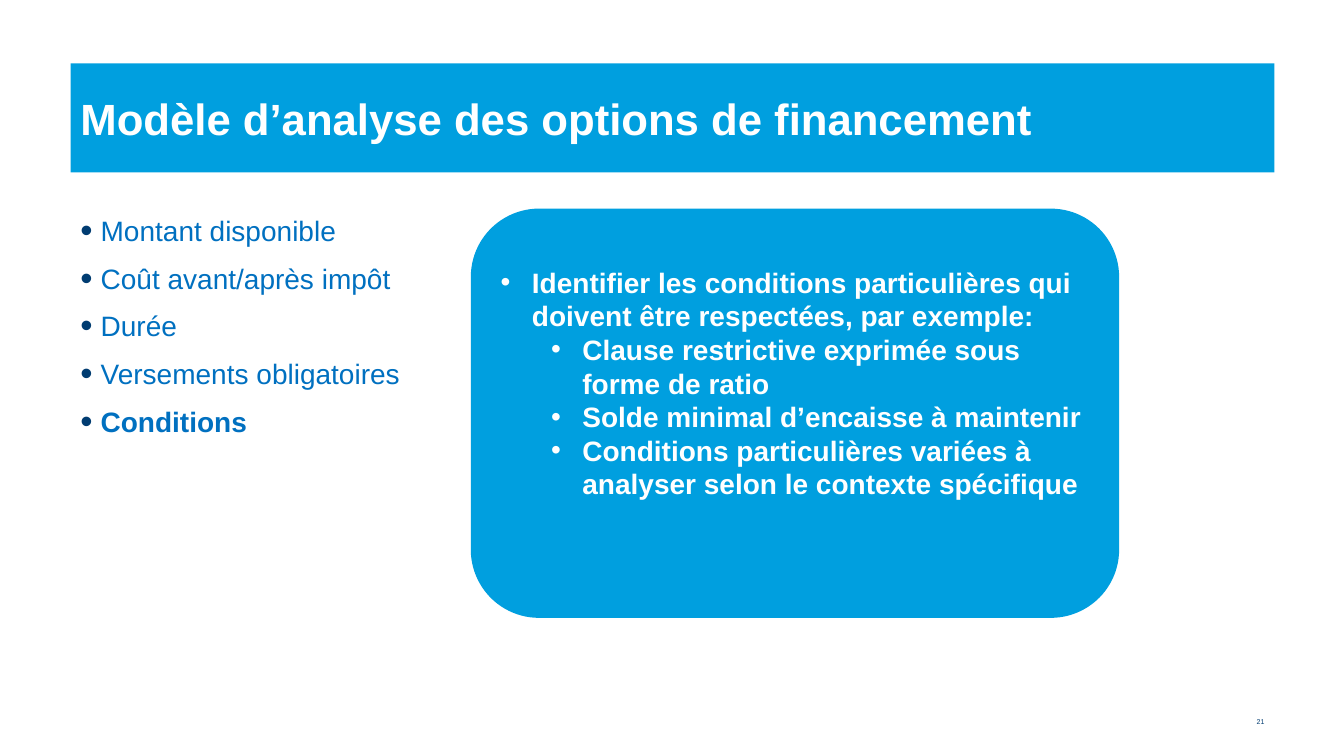
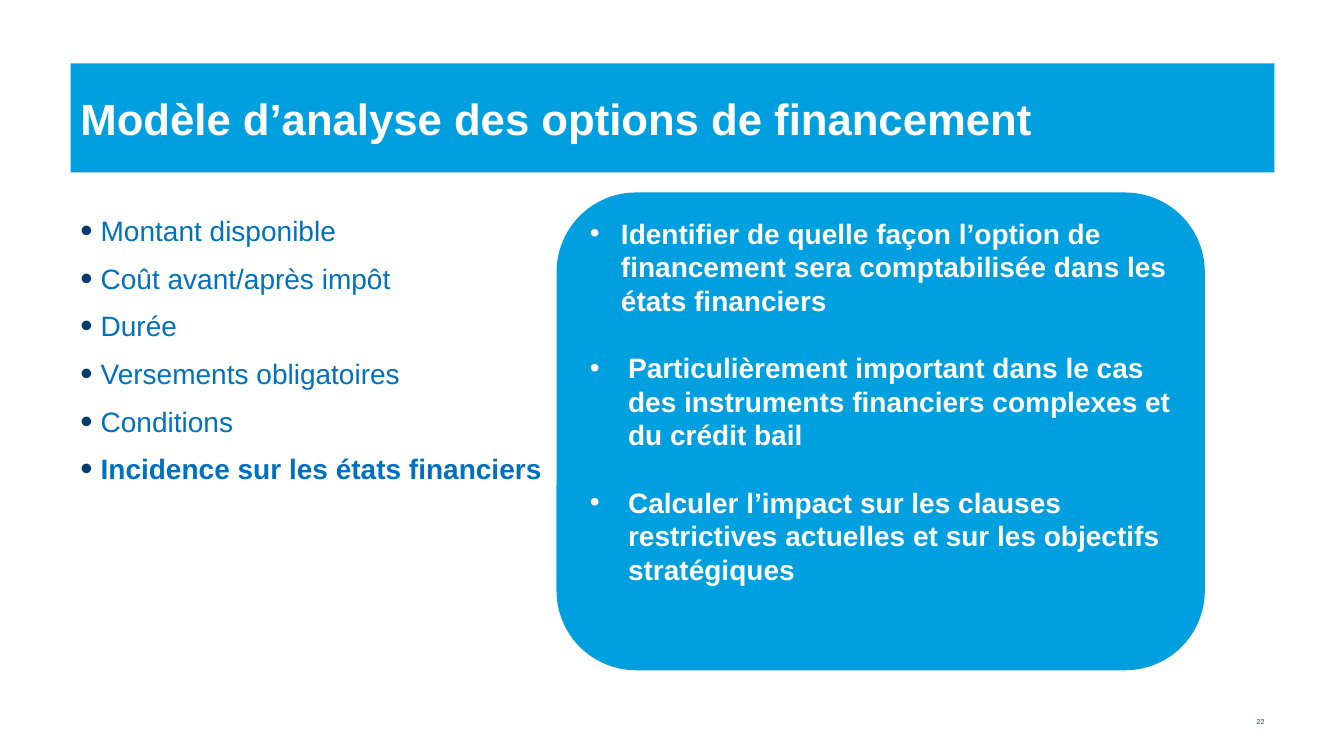
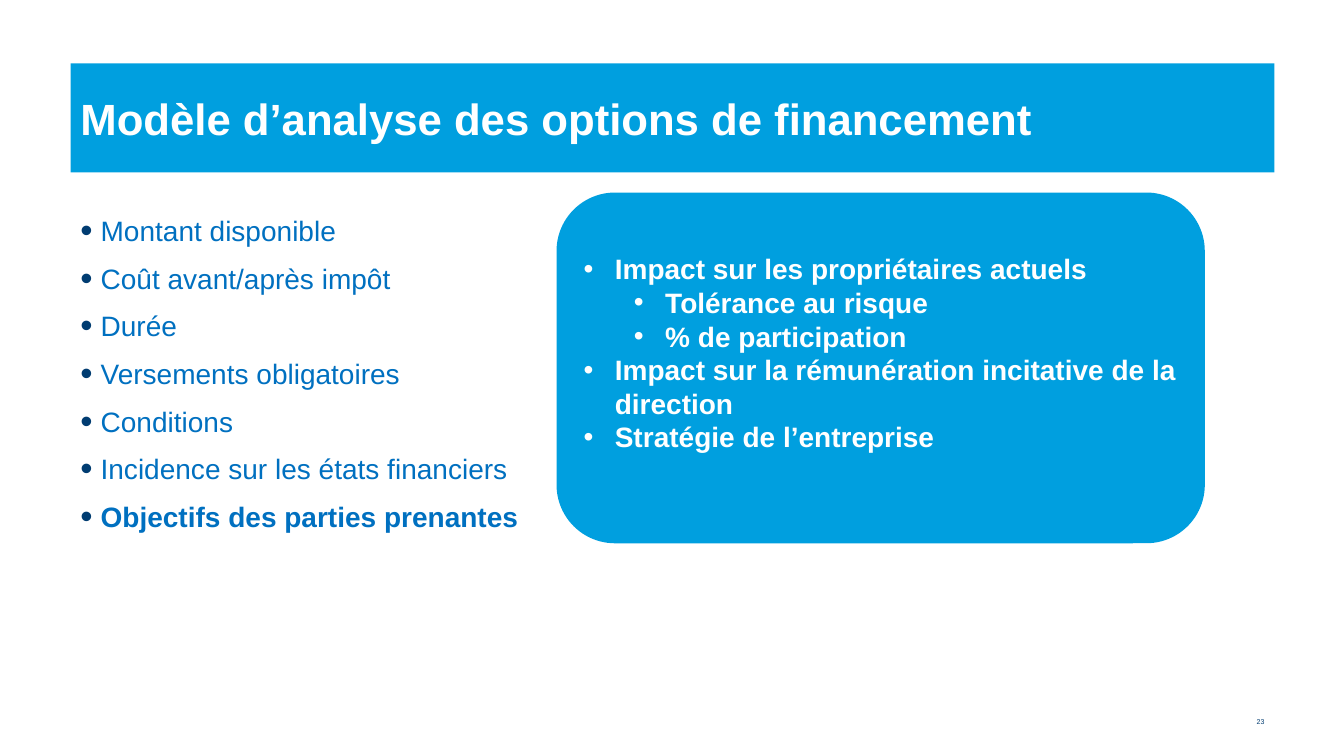
from dataclasses import dataclass

from lxml import etree
from pptx import Presentation
from pptx.dml.color import RGBColor
from pptx.enum.shapes import MSO_SHAPE
from pptx.enum.text import MSO_ANCHOR, PP_ALIGN
from pptx.oxml.ns import qn
from pptx.util import Emu, Pt

RECTANGLE = MSO_SHAPE.RECTANGLE
ROUNDED = MSO_SHAPE.ROUNDED_RECTANGLE
TOP, MIDDLE = MSO_ANCHOR.TOP, MSO_ANCHOR.MIDDLE
LEFT, RIGHT = PP_ALIGN.LEFT, PP_ALIGN.RIGHT

PX = 9144  # 100 px to the inch
FONT = "Arial"
COLORS = {"band": "009FDF", "navy": "003C71", "topic": "0070C0", "white": "FFFFFF"}
TITLE = "Modèle d’analyse des options de financement"
TOPICS = [
    "Montant disponible",
    "Coût avant/après impôt",
    "Durée",
    "Versements obligatoires",
    "Conditions",
    "Incidence sur les états financiers",
    "Objectifs des parties prenantes",
]
LINE_HEIGHT = 24  # points, for all 20-point text
FIRST_PAGE = 21


@dataclass(frozen=True)
class Area:
    left: int
    top: int
    width: int
    height: int


@dataclass(frozen=True)
class Style:
    size: float
    color: str
    bold: bool = False
    align: PP_ALIGN = LEFT


@dataclass(frozen=True)
class Bullet:
    margin: int
    hanging: int
    color: str = ""
    percent: int = 100


@dataclass(frozen=True)
class Point:
    text: str
    bullet: Bullet
    gap: int = 0  # points before the paragraph


@dataclass(frozen=True)
class Page:
    topic_count: int
    panel: Area
    bottom_inset: int
    points: list[Point]


TITLE_AREA = Area(70, 63, 1194, 108)
TOPIC_AREA = Area(70, 207, 1194, 418)
NUMBER_AREA = Area(1196, 707, 68, 18)

TITLE_STYLE = Style(31.2, "white", bold=True)
TOPIC_STYLE = Style(20, "topic")
CURRENT_TOPIC_STYLE = Style(20, "topic", bold=True)
POINT_STYLE = Style(20, "white", bold=True)
NUMBER_STYLE = Style(5, "navy", align=RIGHT)

TOPIC_BULLET = Bullet(20, 20, "navy", 125)
MAIN = Bullet(31, 31)
WIDE = Bullet(38, 38)
SUB = Bullet(81, 31)

PAGES = [
    Page(5, Area(467, 207, 643, 406), 65, [
        Point("Identifier les conditions particulières qui doivent être respectées, par exemple:", MAIN),
        Point("Clause restrictive exprimée sous forme de ratio", SUB),
        Point("Solde minimal d’encaisse à maintenir", SUB),
        Point("Conditions particulières variées à analyser selon le contexte spécifique", SUB),
    ]),
    Page(6, Area(552, 191, 643, 474), 65, [
        Point("Identifier de quelle façon l’option de financement sera comptabilisée "
              "dans les états financiers", MAIN),
        Point("Particulièrement important dans le cas des instruments financiers complexes "
              "et du crédit bail", WIDE, LINE_HEIGHT),
        Point("Calculer l’impact sur les clauses restrictives actuelles et sur les objectifs "
              "stratégiques", WIDE, LINE_HEIGHT),
    ]),
    Page(7, Area(552, 191, 643, 348), 35, [
        Point("Impact sur les propriétaires actuels", MAIN),
        Point("Tolérance au risque", SUB),
        Point("% de participation", SUB),
        Point("Impact sur la rémunération incitative de la direction", MAIN),
        Point("Stratégie de l’entreprise", MAIN),
    ]),
]


def place(area: Area) -> list[Emu]:
    return [Emu(value * PX) for value in (area.left, area.top, area.width, area.height)]


def prepare_frame(box, anchor: MSO_ANCHOR):
    frame = box.text_frame
    frame.word_wrap = True
    frame.vertical_anchor = anchor
    return frame


def add_filled_box(slide, kind: MSO_SHAPE, area: Area):
    box = slide.shapes.add_shape(kind, *place(area))
    box.shadow.inherit = False
    box.fill.solid()
    box.fill.fore_color.rgb = RGBColor.from_string(COLORS["band"])
    box.line.fill.background()
    return prepare_frame(box, MIDDLE)


def add_text_box(slide, area: Area, anchor: MSO_ANCHOR):
    return prepare_frame(slide.shapes.add_textbox(*place(area)), anchor)


def write(paragraph, text: str, style: Style) -> None:
    paragraph.text = text
    paragraph.alignment = style.align
    font = paragraph.font
    font.name = FONT
    font.size = Pt(style.size)
    font.bold = style.bold
    font.color.rgb = RGBColor.from_string(COLORS[style.color])


def set_bullet(paragraph, bullet: Bullet) -> None:
    properties = paragraph._p.get_or_add_pPr()
    properties.set("marL", str(bullet.margin * PX))
    properties.set("indent", str(-bullet.hanging * PX))
    if bullet.color:
        color = etree.SubElement(properties, qn("a:buClr"))
        etree.SubElement(color, qn("a:srgbClr"), val=COLORS[bullet.color])
    etree.SubElement(properties, qn("a:buSzPct"), val=str(bullet.percent * 1000))
    etree.SubElement(properties, qn("a:buFont"), typeface=FONT)
    etree.SubElement(properties, qn("a:buChar"), char="•")


def write_list(frame, items: list[tuple[Point, Style]]) -> None:
    for index, (point, style) in enumerate(items):
        paragraph = frame.add_paragraph() if index else frame.paragraphs[0]
        set_bullet(paragraph, point.bullet)
        paragraph.line_spacing = Pt(LINE_HEIGHT)
        if index:
            paragraph.space_before = Pt(point.gap)
        write(paragraph, point.text, style)


def add_page(deck, page: Page, number: int) -> None:
    slide = deck.slides.add_slide(deck.slide_layouts[6])

    # Title band
    write(add_filled_box(slide, RECTANGLE, TITLE_AREA).paragraphs[0], TITLE, TITLE_STYLE)

    # Topics so far, the current one in bold
    topics = [(Point(text, TOPIC_BULLET, 10), TOPIC_STYLE)
              for text in TOPICS[:page.topic_count]]
    topics[-1] = (topics[-1][0], CURRENT_TOPIC_STYLE)
    write_list(add_text_box(slide, TOPIC_AREA, TOP), topics)

    # Page number
    write(add_text_box(slide, NUMBER_AREA, MIDDLE).paragraphs[0], str(number), NUMBER_STYLE)

    # Detail panel
    panel = add_filled_box(slide, ROUNDED, page.panel)
    panel.margin_bottom = Emu(page.bottom_inset * PX)
    write_list(panel, [(point, POINT_STYLE) for point in page.points])


def main() -> None:
    deck = Presentation()
    deck.slide_width, deck.slide_height = Emu(1333 * PX), Emu(750 * PX)
    for number, page in enumerate(PAGES, FIRST_PAGE):
        add_page(deck, page, number)
    deck.save("out.pptx")


if __name__ == "__main__":
    main()
